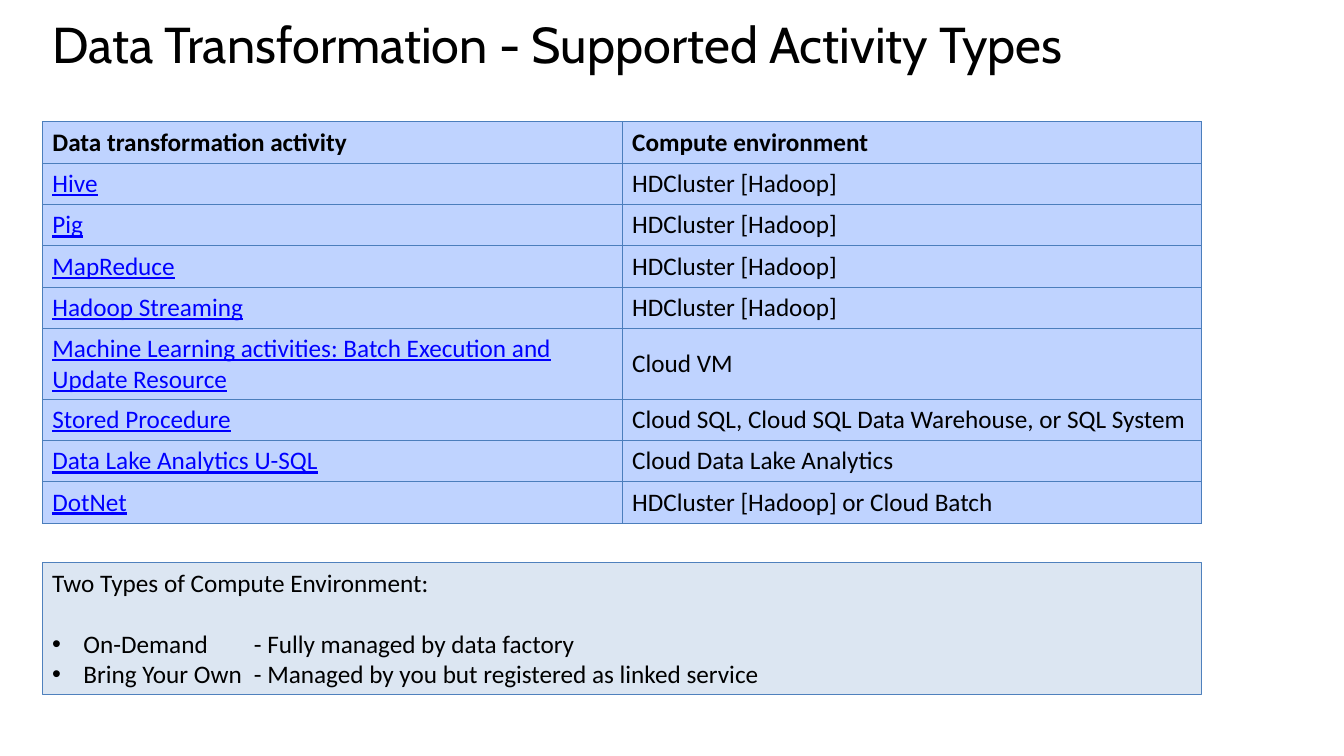
from lxml import etree
from pptx import Presentation
from pptx.dml.color import RGBColor
from pptx.enum.shapes import MSO_SHAPE
from pptx.enum.text import MSO_ANCHOR, PP_ALIGN
from pptx.oxml.ns import qn
from pptx.util import Inches, Pt

COLORS = {
    "text": "000000",
    "link": "0000FF",
    "table_fill": "BFD3FF",
    "table_border": "4B7EBC",
    "box_fill": "DCE6F2",
    "box_line": "4F81BD",
}
LEFT, WIDTH = Inches(0.42), Inches(11.5)


def add_run(paragraph, text, color="text", size=18, name="Calibri"):
    run = paragraph.add_run()
    run.text = text
    run.font.size = Pt(size)
    run.font.name = name
    run.font.color.rgb = RGBColor.from_string(COLORS[color])
    return run


def add_borders(cell):
    properties = cell._tc.get_or_add_tcPr()
    for position, side in enumerate(("a:lnL", "a:lnR", "a:lnT", "a:lnB")):
        line = etree.Element(qn(side), w=str(Pt(0.75)))
        fill = etree.SubElement(line, qn("a:solidFill"))
        etree.SubElement(fill, qn("a:srgbClr"), val=COLORS["table_border"])
        properties.insert(position, line)


presentation = Presentation()
presentation.slide_width = Inches(13.33)
presentation.slide_height = Inches(7.5)
slide = presentation.slides.add_slide(presentation.slide_layouts[6])

# Title
title = slide.shapes.add_textbox(LEFT, Inches(0.2), Inches(12.6), Inches(0.72))
title.text_frame.word_wrap = True
paragraph = title.text_frame.paragraphs[0]
paragraph.line_spacing = 0.8
add_run(paragraph, "Data Transformation - Supported Activity Types", size=36, name="Cabin")

# Activity table
activities = [
    ("Data transformation activity", "Compute environment"),
    ("Hive", "HDCluster [Hadoop]"),
    ("Pig", "HDCluster [Hadoop]"),
    ("MapReduce", "HDCluster [Hadoop]"),
    ("Hadoop Streaming", "HDCluster [Hadoop]"),
    ("Machine Learning activities: Batch Execution and Update Resource", "Cloud VM"),
    ("Stored Procedure", "Cloud SQL, Cloud SQL Data Warehouse, or SQL System"),
    ("Data Lake Analytics U-SQL", "Cloud Data Lake Analytics"),
    ("DotNet", "HDCluster [Hadoop] or Cloud Batch"),
]
TWO_LINE_ROW = 5
table = slide.shapes.add_table(
    len(activities), 2, LEFT, Inches(1.21), WIDTH, Inches(3.96)
).table
for row_index, texts in enumerate(activities):
    table.rows[row_index].height = Inches(0.7 if row_index == TWO_LINE_ROW else 0.41)
    for column_index, text in enumerate(texts):
        cell = table.cell(row_index, column_index)
        cell.vertical_anchor = MSO_ANCHOR.MIDDLE
        cell.fill.solid()
        cell.fill.fore_color.rgb = RGBColor.from_string(COLORS["table_fill"])
        add_borders(cell)
        is_header = row_index == 0
        is_link = column_index == 0 and not is_header
        run = add_run(cell.text_frame.paragraphs[0], text, "link" if is_link else "text")
        run.font.bold = is_header
        run.font.underline = is_link

# Compute environment box
box = slide.shapes.add_shape(MSO_SHAPE.RECTANGLE, LEFT, Inches(5.58), WIDTH, Inches(1.31))
box.shadow.inherit = False
box.fill.solid()
box.fill.fore_color.rgb = RGBColor.from_string(COLORS["box_fill"])
box.line.color.rgb = RGBColor.from_string(COLORS["box_line"])
box.line.width = Pt(0.75)
frame = box.text_frame
frame.word_wrap = True
frame.vertical_anchor = MSO_ANCHOR.TOP
heading = frame.paragraphs[0]
heading.alignment = PP_ALIGN.LEFT
heading.space_after = Pt(22)
add_run(heading, "Two Types of Compute Environment:")
for text in (
    "On-Demand\t- Fully managed by data factory",
    "Bring Your Own\t- Managed by you but registered as linked service",
):
    paragraph = frame.add_paragraph()
    paragraph.alignment = PP_ALIGN.LEFT
    properties = paragraph._p.get_or_add_pPr()
    properties.set("marL", str(Inches(0.31)))
    properties.set("indent", str(Inches(-0.31)))
    etree.SubElement(properties, qn("a:buFont"), typeface="Arial")
    etree.SubElement(properties, qn("a:buChar"), char="•")
    add_run(paragraph, text)

presentation.save("out.pptx")
